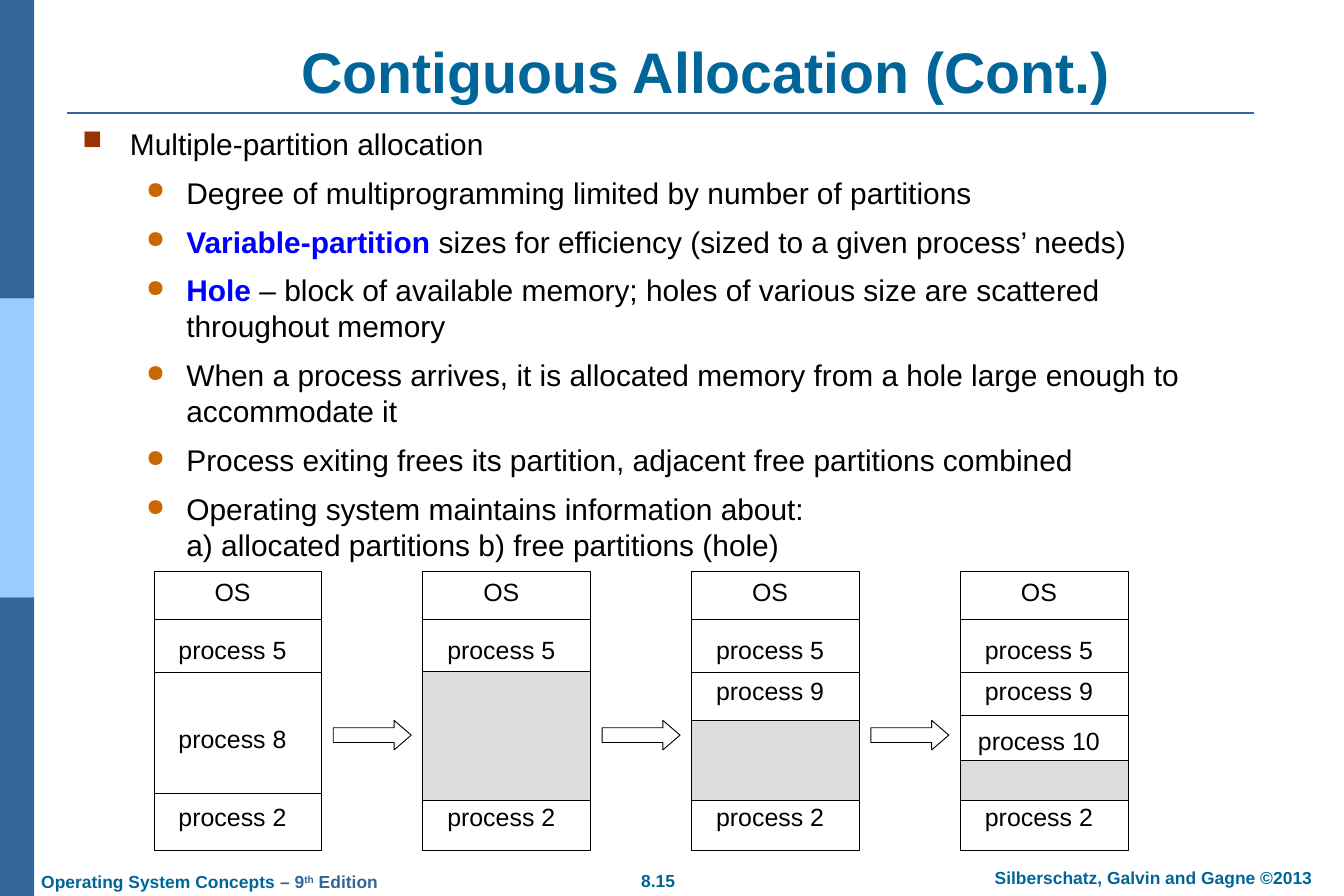
from lxml import etree
from pptx import Presentation
from pptx.dml.color import RGBColor
from pptx.enum import shapes, text
from pptx.oxml import ns
from pptx.util import Inches, Pt

DEEP_BLUE = RGBColor(0x33, 0x66, 0x99)
SKY_BLUE = RGBColor(0x99, 0xCC, 0xFF)
TITLE_BLUE = RGBColor(0x00, 0x66, 0x99)
TERM_BLUE = RGBColor(0x00, 0x00, 0xFF)
RUST = RGBColor(0x99, 0x33, 0x00)
ORANGE = RGBColor(0xCC, 0x66, 0x00)
BLACK = RGBColor(0x00, 0x00, 0x00)
WHITE = RGBColor(0xFF, 0xFF, 0xFF)
HOLE_GRAY = RGBColor(0xDD, 0xDD, 0xDD)

TERM = {"color": TERM_BLUE, "bold": True}
BULLETS = [
    (0, [("Multiple-partition allocation", {})]),
    (1, [("Degree of multiprogramming limited by number of partitions", {})]),
    (1, [("Variable-partition ", TERM),
         ("sizes for efficiency (sized to a given process’ needs)", {})]),
    (1, [("Hole", TERM),
         (" – block of available memory; holes of various size are "
          "scattered throughout memory", {})]),
    (1, [("When a process arrives, it is allocated memory from a hole "
          "large enough to accommodate it", {})]),
    (1, [("Process exiting frees its partition, adjacent free partitions combined", {})]),
    (1, [("Operating system maintains information about:\n"
          "a) allocated partitions b) free partitions (hole)", {})]),
]
LEVELS = [
    {"margin": 0.53, "indent": -0.53, "mark": "■", "color": RUST, "size": 90},
    {"margin": 1.16, "indent": -0.45, "mark": "●", "color": ORANGE, "size": 80},
]

COLUMN_PITCH = 3
DIVIDERS = [0.53, 1.13, 2.48]
HOLE_BOTTOM = 2.55
SHARED_LABELS = [("OS", -0.02), ("process 5", 0.63), ("process 2", 2.49)]
MEMORY_STATES = [
    {"labels": [("process 8", 1.62)], "dividers": [], "hole": None},
    {"labels": [], "dividers": [], "hole": 1.11},
    {"labels": [("process 9", 1.09)], "dividers": [], "hole": 1.66},
    {"labels": [("process 9", 1.09), ("process 10", 1.65)], "dividers": [1.6], "hole": 2.11},
]


def add_bullet(paragraph, level):
    style = LEVELS[level]
    properties = paragraph._p.get_or_add_pPr()
    properties.set("marL", str(Inches(style["margin"])))
    properties.set("indent", str(Inches(style["indent"])))
    color = etree.SubElement(properties, ns.qn("a:buClr"))
    etree.SubElement(color, ns.qn("a:srgbClr"), val=str(style["color"]))
    etree.SubElement(properties, ns.qn("a:buSzPct"), val=str(style["size"] * 1000))
    etree.SubElement(properties, ns.qn("a:buChar"), char=style["mark"])
    paragraph.level = level


def add_run(paragraph, words, size, color, bold=False, baseline=None):
    for index, line in enumerate(words.split("\n")):
        if index:
            paragraph.add_line_break()
        run = paragraph.add_run()
        run.text = line
        run.font.name = "Arial"
        run.font.size = Pt(size)
        run.font.bold = bold
        run.font.color.rgb = color
        if baseline:
            run._r.get_or_add_rPr().set("baseline", str(baseline * 1000))


def add_text(slide, box, paragraphs, align=text.PP_ALIGN.LEFT,
             anchor=text.MSO_ANCHOR.TOP, space_before=0, **font):
    frame = slide.shapes.add_textbox(*map(Inches, box)).text_frame
    frame.word_wrap = True
    frame.vertical_anchor = anchor
    frame.margin_left = frame.margin_right = Inches(0.14)
    frame.margin_top = frame.margin_bottom = Inches(0.07)
    for index, (level, runs) in enumerate(paragraphs):
        paragraph = frame.add_paragraph() if index else frame.paragraphs[0]
        if level is not None:
            add_bullet(paragraph, level)
        paragraph.alignment = align
        paragraph.space_before = Pt(space_before if index else 0)
        for words, changes in runs:
            add_run(paragraph, words, **{**font, **changes})


def add_block(slide, box, fill, outline=None, kind=shapes.MSO_SHAPE.RECTANGLE):
    shape = slide.shapes.add_shape(kind, *map(Inches, box))
    shape.shadow.inherit = False
    shape.fill.solid()
    shape.fill.fore_color.rgb = fill
    if outline is None:
        shape.line.fill.background()
    else:
        shape.line.color.rgb = outline
        shape.line.width = Pt(0.75)
    return shape


def add_rule(slide, left, top, width, color, weight):
    rule = slide.shapes.add_connector(
        shapes.MSO_CONNECTOR.STRAIGHT,
        *map(Inches, (left, top, left + width, top)))
    rule.line.color.rgb = color
    rule.line.width = Pt(weight)
    etree.SubElement(rule._element.spPr, ns.qn("a:effectLst"))


def add_sidebar(slide, left, top, width, height):
    colors = [DEEP_BLUE, SKY_BLUE, DEEP_BLUE]
    band = height / len(colors)
    for index, color in enumerate(colors):
        add_block(slide, (left, top + index * band, width, band), color)


def add_title(slide, left, top, width, height):
    add_text(slide, (left, top, width, height),
             [(None, [("Contiguous Allocation (Cont.)", {})])],
             align=text.PP_ALIGN.CENTER, anchor=text.MSO_ANCHOR.BOTTOM,
             size=46, color=TITLE_BLUE, bold=True)
    add_rule(slide, 0.75, top + height + 0.02, 13.25, DEEP_BLUE, 1.5)


def add_footer(slide, left, top, height):
    edition = {"color": DEEP_BLUE}
    parts = [
        (0, 0.04, 4.3, text.PP_ALIGN.LEFT,
         [("Operating System Concepts", {}), (" – 9", edition),
          ("th", {**edition, "baseline": 30}), (" Edition", edition)]),
        (6.33, 0.03, 1.39, text.PP_ALIGN.CENTER, [("8.15", {})]),
        (10.43, 0, 4.25, text.PP_ALIGN.CENTER,
         [("Silberschatz, Galvin and Gagne ©2013", {})]),
    ]
    for offset, drop, width, align, runs in parts:
        add_text(slide, (left + offset, top + drop, width, height), [(None, runs)],
                 align=align, size=14, color=TITLE_BLUE, bold=True)


def add_memory(slide, left, top, width, height, state):
    add_block(slide, (left, top, width, height), WHITE, BLACK)
    for offset in DIVIDERS + state["dividers"]:
        add_rule(slide, left, top + offset, width, BLACK, 0.75)
    if state["hole"]:
        add_block(slide, (left, top + state["hole"], width, HOLE_BOTTOM - state["hole"]),
                  HOLE_GRAY, BLACK)
    for label, offset in SHARED_LABELS + state["labels"]:
        add_text(slide, (left, top + offset, width - 0.12, 0.48), [(None, [(label, {})])],
                 align=text.PP_ALIGN.CENTER, anchor=text.MSO_ANCHOR.MIDDLE,
                 size=20, color=BLACK)


def add_memory_sequence(slide, left, top, width, height):
    for index, state in enumerate(MEMORY_STATES):
        column = left + index * COLUMN_PITCH
        add_memory(slide, column, top, width, height, state)
        if index:
            arrow = add_block(slide, (column - 1, top + 1.66, 0.87, 0.33), WHITE, BLACK,
                              kind=shapes.MSO_SHAPE.RIGHT_ARROW)
            arrow.adjustments[1] = 0.58


def main():
    presentation = Presentation()
    presentation.slide_width = Inches(15)
    presentation.slide_height = Inches(10)
    slide = presentation.slides.add_slide(presentation.slide_layouts[6])
    add_sidebar(slide, 0, 0, 0.38, 10)
    add_footer(slide, 0.32, 9.61, 0.38)
    add_title(slide, 1.5, 0.4, 12.75, 0.84)
    add_text(slide, (0.78, 1.33, 12.75, 5.2), BULLETS, space_before=10.5,
             size=24, color=BLACK)
    add_memory_sequence(slide, 1.72, 6.38, 1.87, 3.11)
    presentation.save("out.pptx")


if __name__ == "__main__":
    main()
